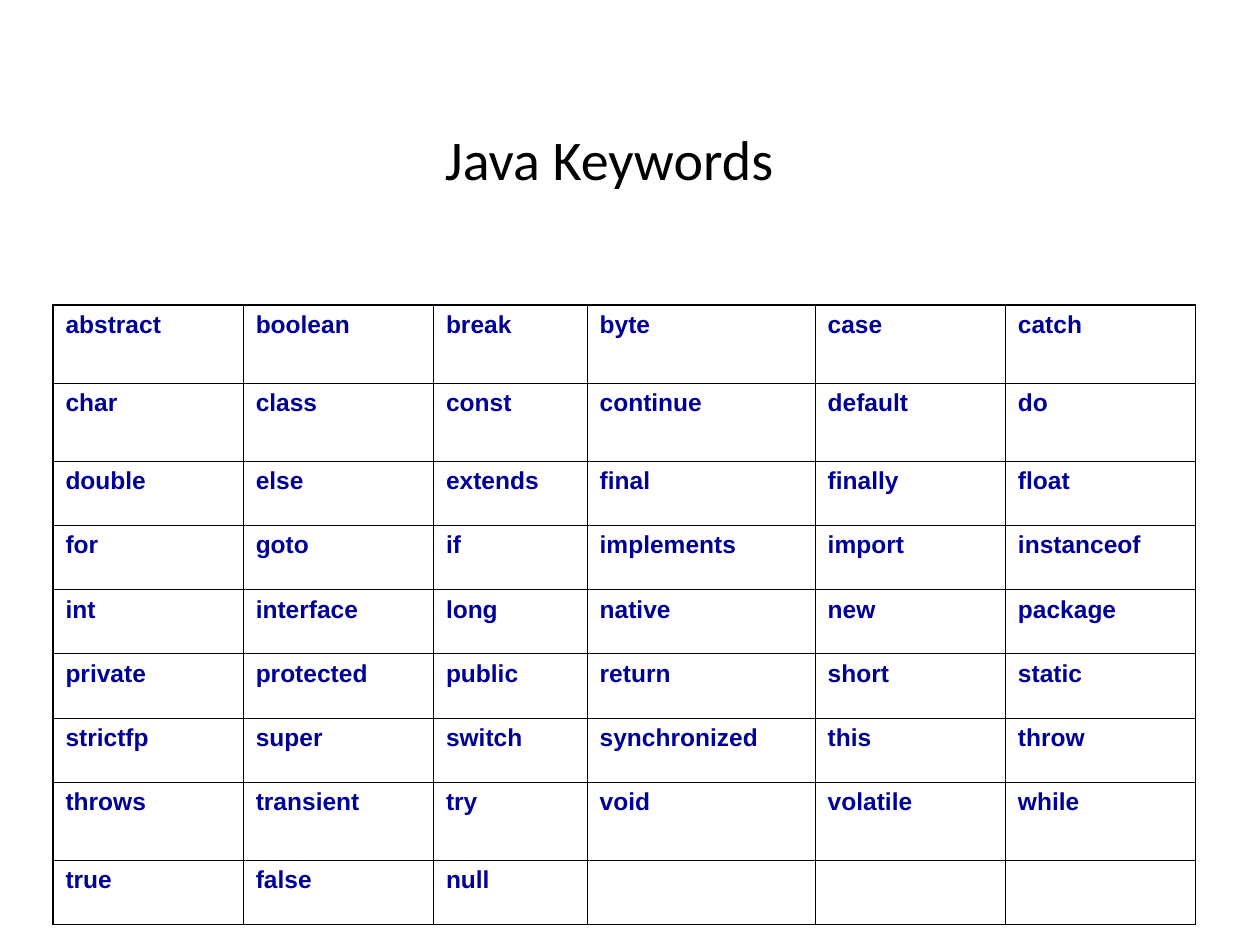
from lxml import etree
from pptx import Presentation
from pptx.dml.color import RGBColor
from pptx.enum.text import MSO_ANCHOR, PP_ALIGN
from pptx.oxml.ns import qn
from pptx.util import Inches, Pt

CENTER = PP_ALIGN.CENTER
MIDDLE = MSO_ANCHOR.MIDDLE

COLORS = {"title": "000000", "keyword": "000099", "border": "000000"}
INNER_BORDER, OUTER_BORDER = Pt(0.45), Pt(1.08)

COLUMN_WIDTHS = [1.51, 1.51, 1.22, 1.81, 1.51, 1.51]
TALL_ROW, SHORT_ROW = 0.62, 0.51
TALL_ROWS = {0, 1, 7}
KEYWORDS = [
    ["abstract", "boolean", "break", "byte", "case", "catch"],
    ["char", "class", "const", "continue", "default", "do"],
    ["double", "else", "extends", "final", "finally", "float"],
    ["for", "goto", "if", "implements", "import", "instanceof"],
    ["int", "interface", "long", "native", "new", "package"],
    ["private", "protected", "public", "return", "short", "static"],
    ["strictfp", "super", "switch", "synchronized", "this", "throw"],
    ["throws", "transient", "try", "void", "volatile", "while"],
    ["true", "false", "null"],
]


def style_font(font, name, size, color, bold=False):
    font.name = name
    font.size = Pt(size)
    font.bold = bold
    font.color.rgb = RGBColor.from_string(COLORS[color])


def add_title(slide, left, top, width, height):
    frame = slide.shapes.add_textbox(left, top, width, height).text_frame
    frame.word_wrap = True
    frame.vertical_anchor = MIDDLE
    paragraph = frame.paragraphs[0]
    paragraph.text = "Java Keywords"
    paragraph.alignment = CENTER
    style_font(paragraph.runs[0].font, "Calibri", 32, "title")


def set_borders(cell, outer_sides):
    """Draw all four borders, heavier on the sides at the table's edge."""
    properties = cell._tc.get_or_add_tcPr()
    for side in ("L", "R", "T", "B"):
        width = OUTER_BORDER if side in outer_sides else INNER_BORDER
        line = etree.SubElement(properties, qn(f"a:ln{side}"), w=str(int(width)))
        fill = etree.SubElement(line, qn("a:solidFill"))
        etree.SubElement(fill, qn("a:srgbClr"), val=COLORS["border"])


def add_keyword_table(slide, left, top):
    row_count, column_count = len(KEYWORDS), len(COLUMN_WIDTHS)
    row_heights = [TALL_ROW if row in TALL_ROWS else SHORT_ROW
                   for row in range(row_count)]
    table = slide.shapes.add_table(
        row_count, column_count, left, top,
        Inches(sum(COLUMN_WIDTHS)), Inches(sum(row_heights))).table
    table.first_row = table.horz_banding = False
    for column, width in zip(table.columns, COLUMN_WIDTHS):
        column.width = Inches(width)
    for row, height in zip(table.rows, row_heights):
        row.height = Inches(height)

    for r in range(row_count):
        for c in range(column_count):
            cell = table.cell(r, c)
            edges = {"L": c == 0, "R": c == column_count - 1,
                     "T": r == 0, "B": r == row_count - 1}
            set_borders(cell, {side for side, outer in edges.items() if outer})
            cell.fill.background()
            if c < len(KEYWORDS[r]):
                paragraph = cell.text_frame.paragraphs[0]
                paragraph.text = KEYWORDS[r][c]
                paragraph.space_before = Pt(3.5)
                style_font(paragraph.runs[0].font, "Arial", 14, "keyword", bold=True)


def main():
    prs = Presentation()
    prs.slide_width, prs.slide_height = Inches(10), Inches(7.5)
    slide = prs.slides.add_slide(prs.slide_layouts[6])
    add_title(slide, Inches(0.5), Inches(0.92), Inches(8.67), Inches(0.67))
    add_keyword_table(slide, Inches(0.42), Inches(2.42))
    prs.save("out.pptx")


if __name__ == "__main__":
    main()
